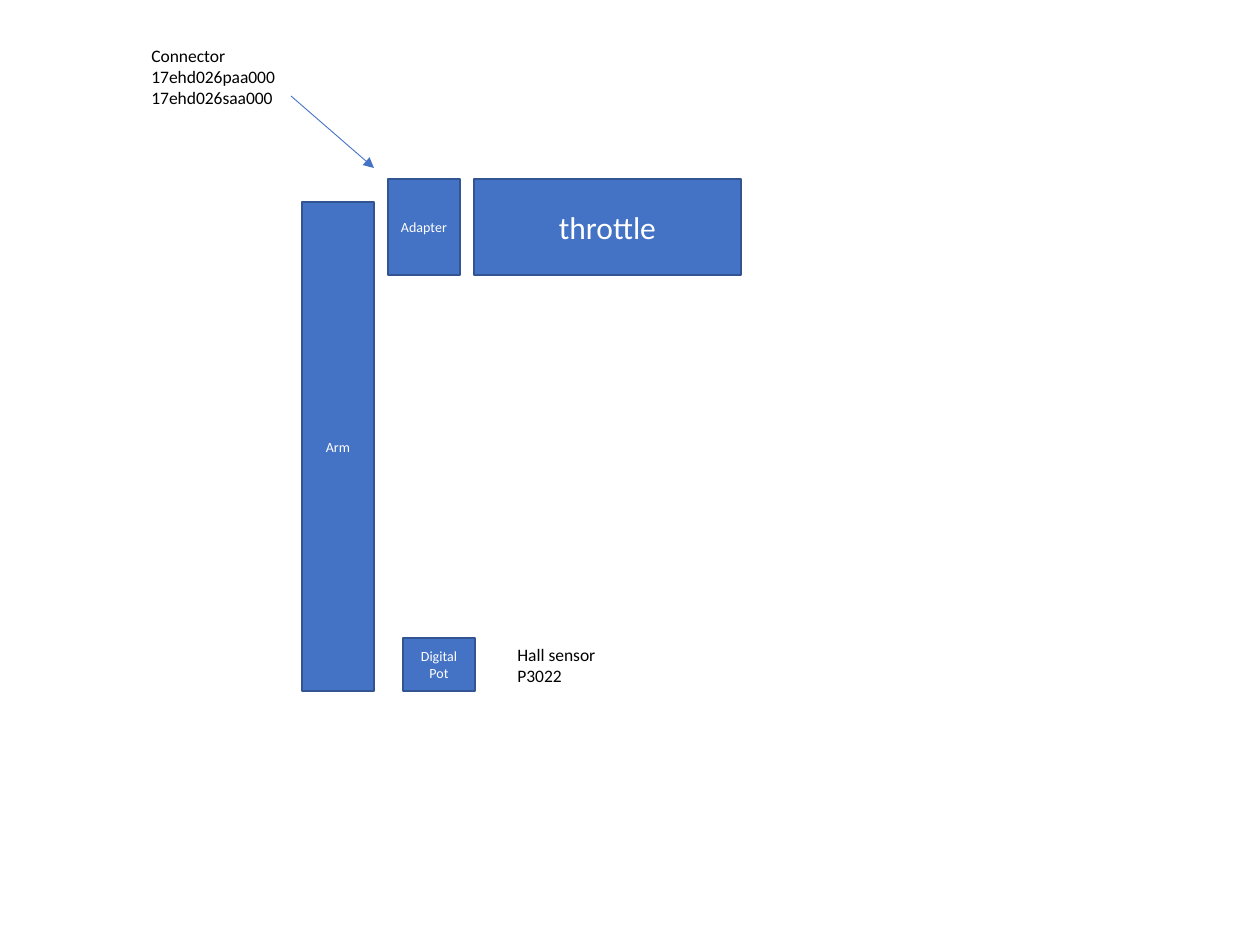
import pptx
import pptx.util
import pptx.dml.color
import pptx.enum.shapes
import pptx.enum.text
import pptx.oxml

PIXEL = 914400 / 126
BLUE, EDGE, WHITE, BLACK = "4472C4", "325491", "FFFFFF", "000000"


def px(length):
    return pptx.util.Emu(round(length * PIXEL))


def color(value):
    return pptx.dml.color.RGBColor.from_string(value)


def write(frame, text, size=10, ink=BLACK, align="LEFT", anchor="TOP", wrap=True):
    frame.word_wrap = wrap
    frame.vertical_anchor = getattr(pptx.enum.text.MSO_ANCHOR, anchor)
    for index, line in enumerate(text.split("\n")):
        para = frame.add_paragraph() if index else frame.paragraphs[0]
        para.alignment = getattr(pptx.enum.text.PP_ALIGN, align)
        span = para.add_run()
        span.text = line
        span.font.name = "Calibri"
        span.font.size = pptx.util.Pt(size)
        span.font.color.rgb = color(ink)


def add_block(page, box, text, size=8):
    block = page.shapes.add_shape(
        pptx.enum.shapes.MSO_SHAPE.RECTANGLE, *map(px, box))
    block.shadow.inherit = False
    block.fill.solid()
    block.fill.fore_color.rgb = color(BLUE)
    block.line.color.rgb = color(EDGE)
    block.line.width = pptx.util.Pt(1)
    write(block.text_frame, text, size=size, ink=WHITE, align="CENTER", anchor="MIDDLE")


def add_note(page, box, text):
    note = page.shapes.add_textbox(*map(px, box))
    write(note.text_frame, text, wrap=False)
    note.text_frame.auto_size = pptx.enum.text.MSO_AUTO_SIZE.SHAPE_TO_FIT_TEXT


def add_arrow(page, start, end):
    arrow = page.shapes.add_connector(
        pptx.enum.shapes.MSO_CONNECTOR.STRAIGHT, *map(px, start + end))
    arrow.line.color.rgb = color(BLUE)
    arrow.line.width = pptx.util.Pt(0.5)
    namespace = pptx.oxml.ns.nsdecls("a")
    arrow.line._get_or_add_ln().append(
        pptx.oxml.parse_xml(f'<a:tailEnd {namespace} type="triangle"/>'))
    arrow._element.spPr.append(pptx.oxml.parse_xml(f"<a:effectLst {namespace}/>"))


def add_throttle_assembly(page, box):
    left, top, width, height = box
    arm_width, gap = 72, 14
    adapter_left = left + arm_width + gap
    throttle_left = adapter_left + arm_width + gap
    arm_top = top + 23
    bottom = top + height
    head_height, pot_height = 96, 53

    # Throttle, adapter and arm
    add_block(page, (throttle_left, top, left + width - throttle_left, head_height),
              "throttle", size=18)
    add_block(page, (adapter_left, top, arm_width, head_height), "Adapter")
    add_block(page, (left, arm_top, arm_width, bottom - arm_top), "Arm")

    # Sensor at the foot of the arm
    pot_left = adapter_left + gap + 1
    pot_top = bottom - pot_height
    add_block(page, (pot_left, pot_top, arm_width, pot_height), "Digital Pot")
    add_note(page, (pot_left + 102, pot_top, 105, 55), "Hall sensor\nP3022")

    # Connector between arm and adapter
    add_arrow(page, (left - 11, top - 83), (left + arm_width, top - 11))
    add_note(page, (left - 163, top - 140, 151, 77),
             "Connector\n17ehd026paa000\n17ehd026saa000")


deck = pptx.Presentation()
deck.slide_width, deck.slide_height = px(1260), px(945)
page = deck.slides.add_slide(deck.slide_layouts[6])
add_throttle_assembly(page, (302, 179, 439, 512))
deck.save("out.pptx")
